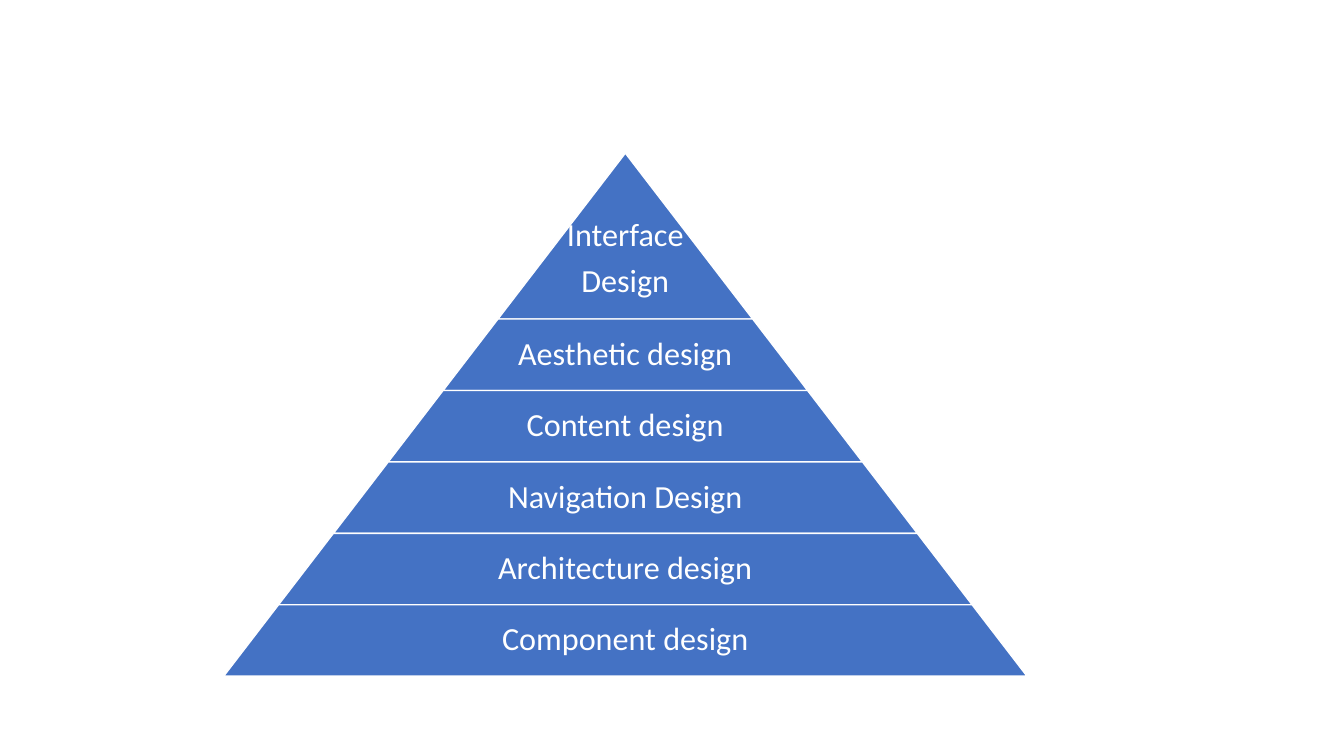
"""Build a slide with a six-tier pyramid of design layers."""
import pptx
import pptx.dml.color
import pptx.enum.shapes
import pptx.enum.text
import pptx.util

Cm = pptx.util.Cm
Pt = pptx.util.Pt
BLUE = pptx.dml.color.RGBColor(0x44, 0x72, 0xC4)
WHITE = pptx.dml.color.RGBColor(0xFF, 0xFF, 0xFF)

TIERS = [
    ["Interface", "Design"],
    ["Aesthetic design"],
    ["Content design"],
    ["Navigation Design"],
    ["Architecture design"],
    ["Component design"],
]
CENTER_X = 15.76
APEX_Y = 3.86
PEAK_HEIGHT = 4.18
TIER_HEIGHT = 1.8
SLOPE = 0.768
PEAK_TEXT_DROP = 1.17
TEXT_SHARE = 0.65


def add_text(tf, text, size=23, font="Calibri", color=WHITE, first=False):
    p = tf.paragraphs[0] if first else tf.add_paragraph()
    p.alignment = pptx.enum.text.PP_ALIGN.CENTER
    p.line_spacing = 0.9
    p.space_after = Pt(8)
    r = p.add_run()
    r.text = text
    r.font.size = Pt(size)
    r.font.name = font
    r.font.color.rgb = color


prs = pptx.Presentation()
prs.slide_width = Cm(33.87)
prs.slide_height = Cm(19.05)
s = prs.slides.add_slide(prs.slide_layouts[6])

top = APEX_Y
for i, lines in enumerate(TIERS):
    height = TIER_HEIGHT if i else PEAK_HEIGHT
    width = 2 * SLOPE * (top + height - APEX_Y)
    sp = s.shapes.add_shape(
        pptx.enum.shapes.MSO_SHAPE.TRAPEZOID,
        Cm(CENTER_X - width / 2), Cm(top), Cm(width), Cm(height))
    sp.adjustments[0] = SLOPE
    sp.shadow.inherit = False
    sp.fill.solid()
    sp.fill.fore_color.rgb = BLUE
    sp.line.color.rgb = WHITE
    sp.line.width = Pt(1)

    drop = 0 if i else PEAK_TEXT_DROP
    text_width = width * TEXT_SHARE if i else width
    box = s.shapes.add_textbox(
        Cm(CENTER_X - text_width / 2), Cm(top + drop),
        Cm(text_width), Cm(height - drop))
    tf = box.text_frame
    tf.word_wrap = True
    tf.vertical_anchor = pptx.enum.text.MSO_ANCHOR.MIDDLE
    tf.margin_left = tf.margin_right = Cm(0.08)
    tf.margin_top = tf.margin_bottom = Cm(0.08)
    for j, line in enumerate(lines):
        add_text(tf, line, first=j == 0)
    top += height

prs.save("out.pptx")
